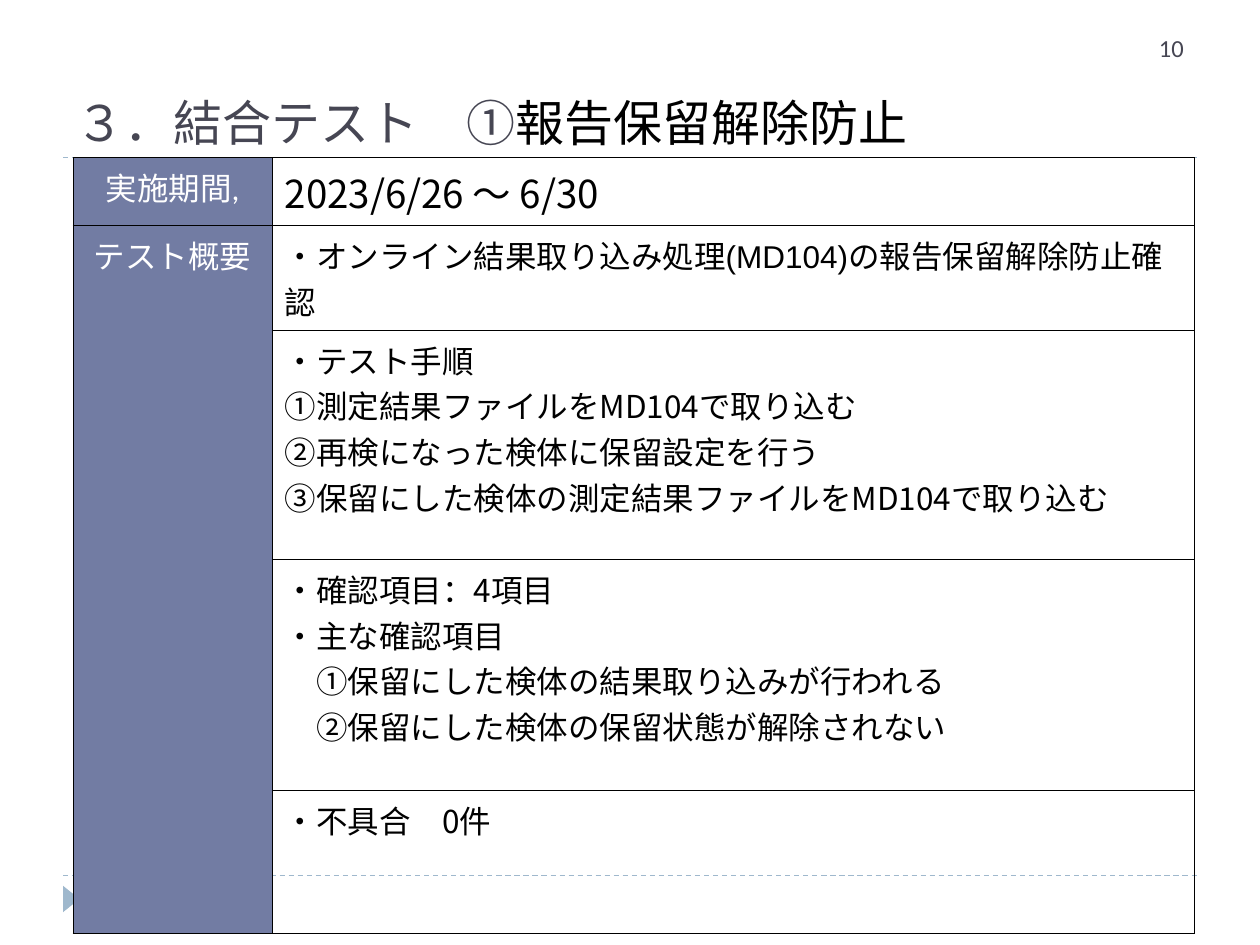
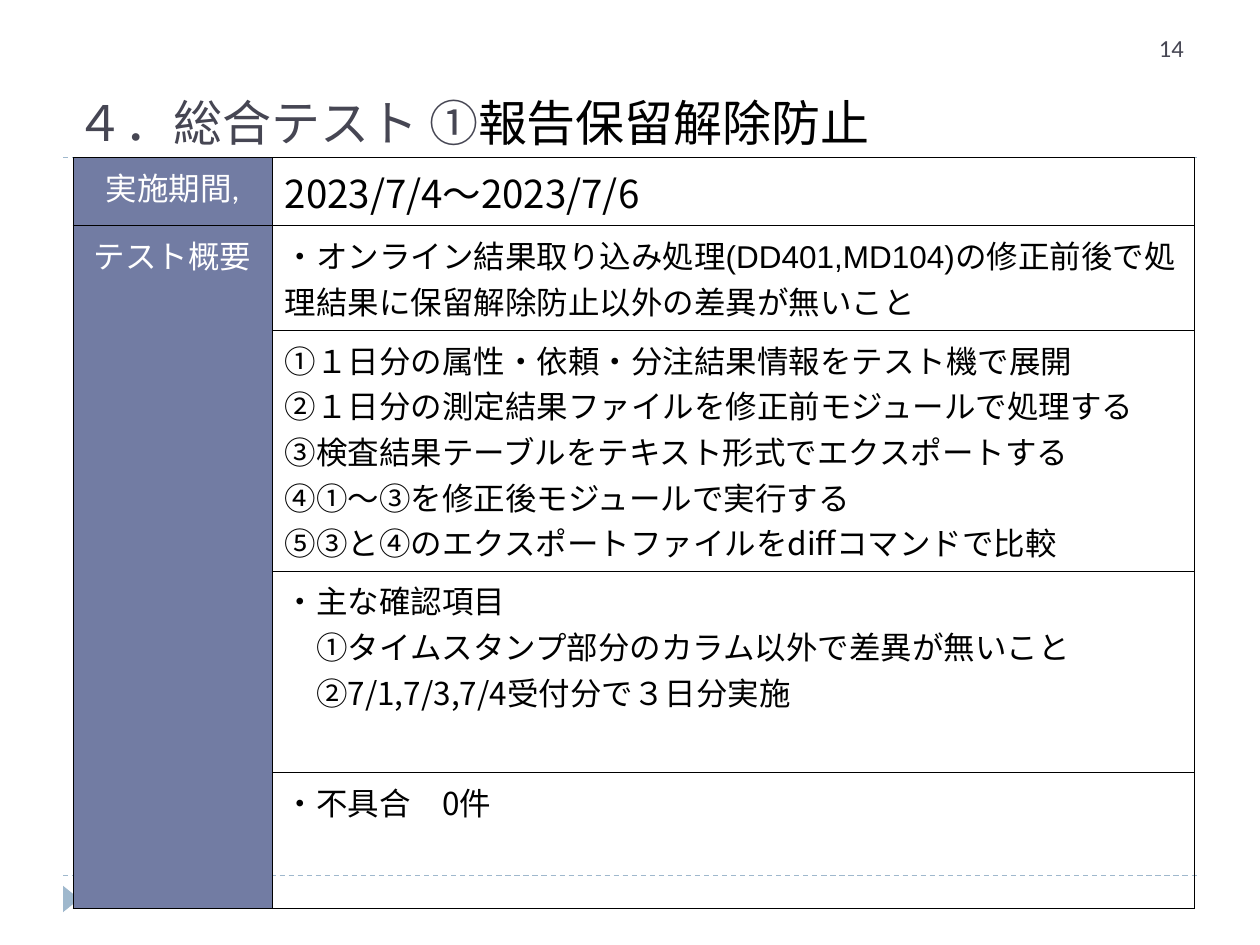
from dataclasses import dataclass

from lxml import etree
from pptx import Presentation
from pptx.dml.color import RGBColor
from pptx.enum.dml import MSO_LINE
from pptx.enum.shapes import MSO_CONNECTOR, MSO_SHAPE
from pptx.enum.text import MSO_ANCHOR, MSO_AUTO_SIZE, PP_ALIGN
from pptx.oxml.ns import qn
from pptx.util import Inches, Pt

DASH = MSO_LINE.DASH
STRAIGHT = MSO_CONNECTOR.STRAIGHT
TRIANGLE = MSO_SHAPE.ISOSCELES_TRIANGLE
LEFT, CENTER = PP_ALIGN.LEFT, PP_ALIGN.CENTER
TOP, BOTTOM = MSO_ANCHOR.TOP, MSO_ANCHOR.BOTTOM
FIXED = MSO_AUTO_SIZE.NONE

COLORS = {"ink": "464653", "black": "000000", "white": "FFFFFF",
          "head": "727CA3", "rule": "9FB8CD"}
CJK, SANS, BODY = "Noto Sans CJK JP", "Arial", "Calibri"
COLS = (1.58, 7.32)
TABLE_LEFT, TABLE_TOP = 0.58, 1.25
RULES = (6.95, 1.25)
FRAME = {"word_wrap": True, "auto_size": FIXED,
         "margin_left": Inches(0.1), "margin_right": Inches(0.1),
         "margin_top": Inches(0.05), "margin_bottom": Inches(0.05)}


@dataclass(frozen=True)
class Style:
    font: str
    size: float
    color: str


@dataclass(frozen=True)
class Page:
    number: str
    title: str
    term: str
    scope: str
    steps: tuple[str, ...]
    checks: tuple[str, ...]
    faults: str
    heights: tuple[float, ...]


Part = tuple[str, Style]

STYLES = {
    "title": Style(CJK, 28, "ink"),
    "topic": Style(SANS, 28, "black"),
    "number": Style(BODY, 14, "ink"),
    "head": Style(BODY, 18, "white"),
    "term": Style(CJK, 22, "black"),
    "text": Style(CJK, 18, "black"),
    "scope": Style(SANS, 18, "black"),
}

PAGES = (
    Page("10", "３．結合テスト　①", "2023/6/26 ～ 6/30",
         "オンライン結果取り込み処理(MD104)の報告保留解除防止確認",
         ("・テスト手順",
          "①測定結果ファイルをMD104で取り込む",
          "②再検になった検体に保留設定を行う",
          "③保留にした検体の測定結果ファイルをMD104で取り込む"),
         ("・確認項目：4項目",
          "・主な確認項目　",
          "　①保留にした検体の結果取り込みが行われる",
          "　②保留にした検体の保留状態が解除されない"),
         "・不具合　0件", (0.54, 0.83, 1.82, 1.83, 1.14)),
    Page("14", "４．総合テスト ①", "2023/7/4～2023/7/6",
         "オンライン結果取り込み処理(DD401,MD104)の修正前後で"
         "処理結果に保留解除防止以外の差異が無いこと",
         ("①１日分の属性・依頼・分注結果情報をテスト機で展開",
          "②１日分の測定結果ファイルを修正前モジュールで処理する",
          "③検査結果テーブルをテキスト形式でエクスポートする",
          "④①～③を修正後モジュールで実行する",
          "⑤③と④のエクスポートファイルをdiffコマンドで比較"),
         ("・主な確認項目　",
          "　①タイムスタンプ部分のカラム以外で差異が無いこと",
          "　②7/1,7/3,7/4受付分で３日分実施"),
         "・不具合　0件", (0.54, 0.83, 1.9, 1.6, 1.08)),
)


def tint(name: str) -> RGBColor:
    return RGBColor.from_string(COLORS[name])


def apply(target, values: dict) -> None:
    for name, value in values.items():
        setattr(target, name, value)


def write(frame, lines: list[list[Part]], align=LEFT) -> None:
    for index, parts in enumerate(lines):
        para = frame.add_paragraph() if index else frame.paragraphs[0]
        para.alignment = align
        for text, style in parts:
            run = para.add_run()
            run.text = text
            apply(run.font, {"name": style.font, "size": Pt(style.size)})
            run.font.color.rgb = tint(style.color)
            props = run._r.get_or_add_rPr()
            etree.SubElement(props, qn("a:ea"), typeface=CJK)


def add_marks(slide) -> None:
    for y in RULES:
        line = slide.shapes.add_connector(
            STRAIGHT, Inches(0.5), Inches(y), Inches(9.5), Inches(y))
        apply(line.line, {"width": Pt(0.75), "dash_style": DASH})
        line.line.color.rgb = tint("rule")
        etree.SubElement(line._element.spPr, qn("a:effectLst"))
    mark = slide.shapes.add_shape(
        TRIANGLE, Inches(0.46), Inches(7.07), Inches(0.21), Inches(0.13))
    mark.rotation = 90
    mark.shadow.inherit = False
    mark.fill.solid()
    mark.fill.fore_color.rgb = tint("rule")
    mark.line.fill.background()


def add_border(cell) -> None:
    props = cell._tc.get_or_add_tcPr()
    for index, side in enumerate(("lnL", "lnR", "lnT", "lnB")):
        edge = etree.Element(qn(f"a:{side}"), w=str(Pt(0.45)))
        fill = etree.SubElement(edge, qn("a:solidFill"))
        etree.SubElement(fill, qn("a:srgbClr"), val=COLORS["black"])
        props.insert(index, edge)


def add_grid(slide, page: Page) -> None:
    grid = slide.shapes.add_table(
        len(page.heights), len(COLS), Inches(TABLE_LEFT), Inches(TABLE_TOP),
        Inches(sum(COLS)), Inches(sum(page.heights))).table
    apply(grid, {"first_row": False, "horz_banding": False})
    for column, width in zip(grid.columns, COLS):
        column.width = Inches(width)
    for row, height in zip(grid.rows, page.heights):
        row.height = Inches(height)
        for cell, filled in zip(row.cells, (True, False)):
            if filled:
                cell.fill.solid()
                cell.fill.fore_color.rgb = tint("head")
            else:
                cell.fill.background()
            add_border(cell)
    grid.cell(1, 0).merge(grid.cell(len(page.heights) - 1, 0))

    for row, label in enumerate(("実施期間,", "テスト概要")):
        write(grid.cell(row, 0).text_frame, [[(label, STYLES["head"])]], CENTER)
    text = STYLES["text"]
    blocks = (
        [[(page.term, STYLES["term"])]],
        [[("・", text), (page.scope, STYLES["scope"])]],
        [[(step, text)] for step in page.steps],
        [[(check, text)] for check in page.checks],
        [[(page.faults, text)]],
    )
    for row, lines in enumerate(blocks):
        write(grid.cell(row, 1).text_frame, lines)


def add_title(slide, page: Page) -> None:
    title = slide.shapes.title
    apply(title, {"left": Inches(0.5), "top": Inches(0.25),
                  "width": Inches(9), "height": Inches(1)})
    apply(title.text_frame, FRAME | {"vertical_anchor": BOTTOM})
    write(title.text_frame, [[(page.title, STYLES["title"]),
                              ("報告保留解除防止", STYLES["topic"])]])


def add_number(slide, page: Page) -> None:
    box = slide.shapes.add_textbox(
        Inches(9.1), Inches(0.21), Inches(1.33), Inches(0.4))
    apply(box.text_frame, FRAME | {"vertical_anchor": TOP})
    write(box.text_frame, [[(page.number, STYLES["number"])]])


def main() -> None:
    deck = Presentation()
    apply(deck, {"slide_width": Inches(10), "slide_height": Inches(7.5)})
    for page in PAGES:
        slide = deck.slides.add_slide(deck.slide_layouts[5])
        add_marks(slide)
        add_grid(slide, page)
        add_title(slide, page)
        add_number(slide, page)
    deck.save("out.pptx")


if __name__ == "__main__":
    main()
